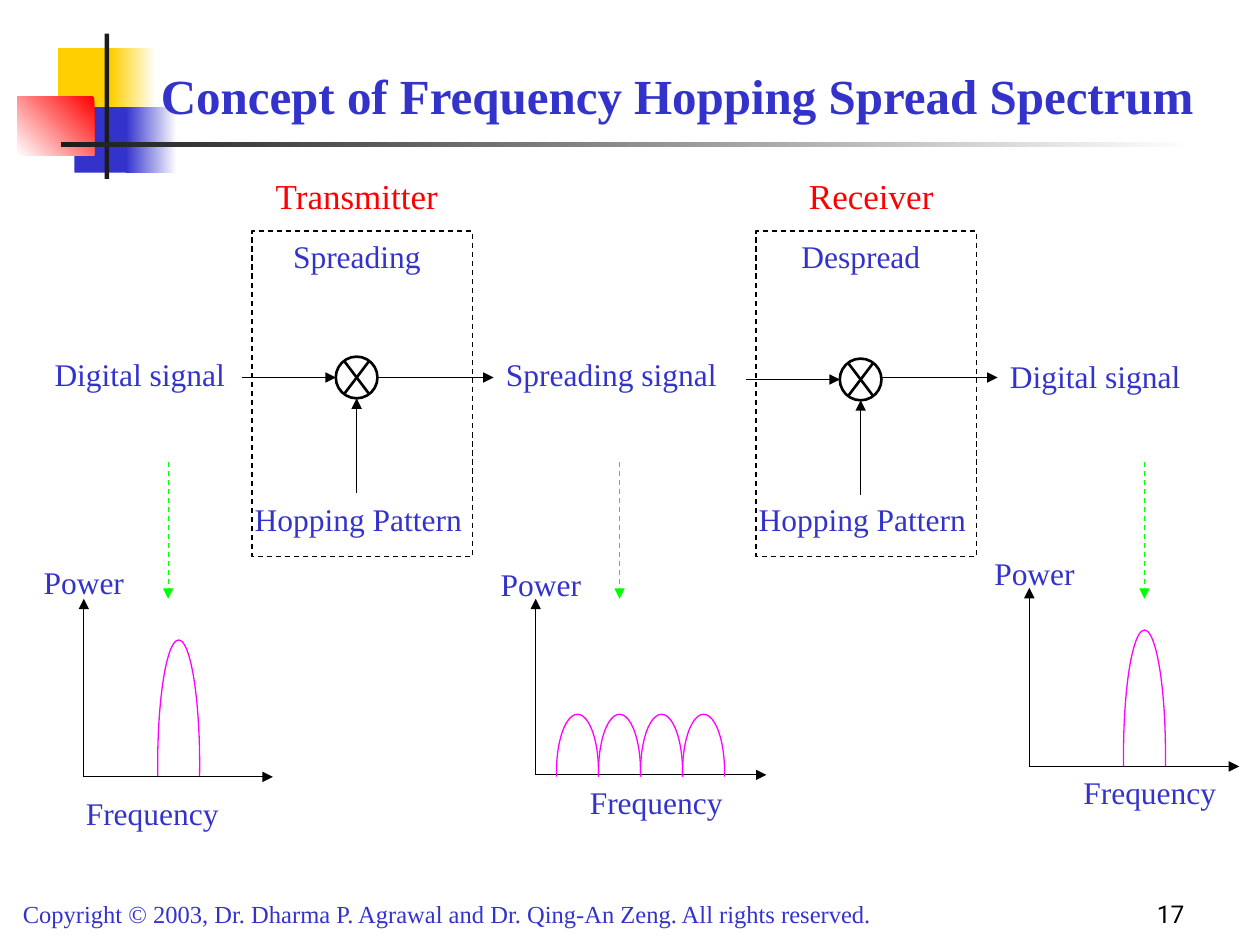
from math import asin, cos, pi, sin, tan

from lxml import etree
from pptx import Presentation
from pptx.dml.color import RGBColor
from pptx.enum.dml import MSO_LINE
from pptx.enum.shapes import MSO_CONNECTOR, MSO_SHAPE
from pptx.enum.text import MSO_ANCHOR, MSO_AUTO_SIZE, PP_ALIGN
from pptx.oxml.ns import qn
from pptx.util import Cm, Pt

BLACK = RGBColor(0x00, 0x00, 0x00)
DARK = RGBColor(0x1C, 0x1C, 0x1C)
WHITE = RGBColor(0xFF, 0xFF, 0xFF)
BLUE = RGBColor(0x33, 0x33, 0xCC)
RED = RGBColor(0xFF, 0x00, 0x00)
YELLOW = RGBColor(0xFF, 0xCF, 0x01)
GREEN = RGBColor(0x00, 0xFF, 0x00)
MAGENTA = RGBColor(0xFF, 0x00, 0xFF)

LEFT, CENTER, RIGHT = PP_ALIGN.LEFT, PP_ALIGN.CENTER, PP_ALIGN.RIGHT
TOP, MIDDLE, BOTTOM = MSO_ANCHOR.TOP, MSO_ANCHOR.MIDDLE, MSO_ANCHOR.BOTTOM
DASH = MSO_LINE.DASH
RECT, OVAL = MSO_SHAPE.RECTANGLE, MSO_SHAPE.OVAL
FONT = "Times New Roman"
PULSE_W = 0.847


def write(sp, text, size, color, align, anchor=TOP, font=FONT, bold=False):
    tf = sp.text_frame
    tf.text = text
    tf.word_wrap = True
    tf.auto_size = MSO_AUTO_SIZE.NONE
    tf.vertical_anchor = anchor
    p = tf.paragraphs[0]
    p.alignment = align
    f = p.runs[0].font
    f.name, f.size, f.bold = font, Pt(size), bold
    f.color.rgb = color


def add_label(s, text, x, y, w, align=LEFT, size=18, color=BLUE, h=1.02, **style):
    sp = s.shapes.add_textbox(Cm(x), Cm(y), Cm(w), Cm(h))
    write(sp, text, size, color, align, **style)
    return sp


def add_block(s, x, y, w, h, *colors, angle=180):
    """Borderless rectangle: one colour is solid, two make a gradient."""
    sp = s.shapes.add_shape(RECT, Cm(x), Cm(y), Cm(w), Cm(h))
    sp.shadow.inherit = False
    sp.line.fill.background()
    if len(colors) == 1:
        sp.fill.solid()
        sp.fill.fore_color.rgb = colors[0]
    else:
        sp.fill.gradient()
        sp.fill.gradient_angle = angle
        for stop, color in zip(sp.fill.gradient_stops, colors):
            stop.color.rgb = color
    return sp


def style_outline(sp, color=BLACK, width=0.75, dash=None):
    sp.shadow.inherit = False
    sp.fill.background()
    sp.line.color.rgb = color
    sp.line.width = Pt(width)
    if dash:
        sp.line.dash_style = dash


def add_line(shapes, x1, y1, x2, y2, color=BLACK, width=0.75, dash=None, arrow=True):
    c = shapes.add_connector(MSO_CONNECTOR.STRAIGHT, Cm(x1), Cm(y1), Cm(x2), Cm(y2))
    c.line.color.rgb = color
    c.line.width = Pt(width)
    if dash:
        c.line.dash_style = dash
    spPr = c.element.spPr
    if arrow:
        etree.SubElement(spPr.find(qn("a:ln")), qn("a:tailEnd"), type="triangle")
    etree.SubElement(spPr, qn("a:effectLst"))


def add_mixer(s, x, y, r):
    """Circle with a cross, centred on x, y."""
    shapes = s.shapes.add_group_shape().shapes
    sp = shapes.add_shape(OVAL, Cm(x - r), Cm(y - r), Cm(2 * r), Cm(2 * r))
    style_outline(sp, width=1.5)
    for dx in (0.25, -0.25):
        add_line(shapes, x - dx, y - 0.33, x + dx, y + 0.33, width=1.5, arrow=False)


def add_stage(s, x, y, name):
    """Dashed stage box with its mixer and arrows; y is the input level."""
    mid, r = x + 2.11, 0.42
    add_mixer(s, mid, y, r)
    add_line(s.shapes, x - 0.21, y, mid - r, y)
    add_line(s.shapes, mid + r, 7.61, x + 4.87, 7.61)
    add_line(s.shapes, mid, y + 2.33, mid, y + r)
    sp = s.shapes.add_shape(RECT, Cm(x), Cm(4.66), Cm(4.45), Cm(6.56))
    style_outline(sp, dash=DASH)
    add_label(s, name, x + 0.21, 4.66, 3.81, CENTER)
    add_label(s, "Hopping Pattern", x - 0.5, 9.95, 5.29, CENTER)


def add_pulse(s, x, y, h):
    """Upper part of an ellipse as three Bézier curves."""
    rx, ry = PULSE_W / 2, h / 2
    dip = asin(0.09)
    step = (pi + 2 * dip) / 3
    k = 4 / 3 * tan(step / 4)

    def at(t, pull=0):
        return (Cm(x + rx + rx * (cos(t) - pull * sin(t))),
                Cm(y + ry - ry * (sin(t) + pull * cos(t))))

    angles = [pi + dip - i * step for i in range(4)]
    points = []
    for a, b in zip(angles, angles[1:]):
        points += [at(a, -k), at(b, k), at(b)]
    fb = s.shapes.build_freeform(*at(angles[0]))
    fb.add_line_segments(points, close=False)
    sp = fb.convert_to_shape()
    style_outline(sp, MAGENTA)

    # Turn every three line segments into one curve
    path = next(sp.element.iter(qn("a:path")))
    segments = path.findall(qn("a:lnTo"))
    for i in range(0, len(segments), 3):
        curve = etree.SubElement(path, qn("a:cubicBezTo"))
        for seg in segments[i:i + 3]:
            curve.append(seg[0])
            path.remove(seg)


def add_spectrum(s, x, base, right, top, power, frequency, pulses):
    """Axes, axis labels (x, y, width) and pulses (count, x, y, height)."""
    add_line(s.shapes, x, base, right, base)
    add_line(s.shapes, x, base, x, top)
    add_label(s, "Power", *power, CENTER)
    add_label(s, "Frequency", *frequency)
    count, px, py, h = pulses
    for i in range(count):
        add_pulse(s, px + i * PULSE_W, py, h)


def add_master_parts(prs, s):
    """Decoration and copyright line, moved to the slide master."""
    parts = [
        add_block(s, 1.17, 0.97, 1.22, 1.32, YELLOW),
        add_block(s, 2.24, 0.97, 0.91, 1.32, WHITE, YELLOW),
        add_block(s, 1.5, 2.16, 1.17, 1.32, BLUE),
        add_block(s, 2.54, 2.16, 1.02, 1.32, WHITE, BLUE),
        add_block(s, 0.35, 1.95, 1.55, 1.18, RED, WHITE, angle=225),
        add_block(s, 2.11, 0.68, 0.09, 2.93, DARK),
        add_block(s, 1.23, 2.87, 22.86, 0.09, WHITE, DARK),
        add_label(s, "Copyright © 2003, Dr. Dharma P. Agrawal and Dr. Qing-An Zeng. "
                  "All rights reserved.", 0.21, 17.99, 19.26, size=14, h=0.86),
    ]
    for number, sp in enumerate(parts, 101):
        sp.element.nvSpPr.cNvPr.set("id", str(number))
        prs.slide_master.shapes.element.append(sp.element)


def main():
    prs = Presentation()
    prs.slide_width, prs.slide_height = Cm(25.4), Cm(19.05)
    s = prs.slides.add_slide(prs.slide_layouts[5])
    add_master_parts(prs, s)

    # Title
    title = s.shapes.title
    title.left, title.top, title.width, title.height = Cm(2.54), Cm(0.85), Cm(22.22), Cm(2.12)
    write(title, "Concept of Frequency Hopping Spread Spectrum", 28, BLUE, CENTER,
          MIDDLE, bold=True)

    # Transmitter and receiver
    add_label(s, "Transmitter", 5.08, 3.39, 4.23, CENTER, 20, RED, 1.12)
    add_label(s, "Receiver", 15.45, 3.39, 4.23, CENTER, 20, RED, 1.12)
    add_stage(s, 5.08, 7.61, "Spreading")
    add_stage(s, 15.24, 7.65, "Despread")

    # Signals between the stages, each pointing to its spectrum
    add_label(s, "Digital signal", 0.85, 7.04, 4.02)
    add_label(s, "Spreading signal", 9.95, 7.04, 5.08)
    add_label(s, "Digital signal", 20.11, 7.07, 4.45)
    for x in (3.39, 12.49, 23.07):
        add_line(s.shapes, x, 9.31, x, 12.07, GREEN, dash=DASH)

    # Spectra
    add_spectrum(s, 1.69, 15.66, 5.5, 12.07, (0.42, 11.22, 2.54), (1.48, 15.88, 4.23),
                 (1, 3.18, 12.9, 5.03))
    add_spectrum(s, 10.8, 15.62, 15.45, 12.07, (9.74, 11.26, 2.33), (11.64, 15.66, 3.39),
                 (4, 11.22, 14.4, 2.31))
    add_spectrum(s, 20.75, 15.45, 24.98, 11.85, (19.69, 11.05, 2.33), (21.59, 15.45, 3.39),
                 (1, 22.65, 12.7, 5.03))

    # Slide number
    add_label(s, "17", 18.84, 17.57, 5.29, RIGHT, 14, BLACK, 1.27, anchor=BOTTOM,
              font="Roboto")
    prs.save("out.pptx")


if __name__ == "__main__":
    main()
